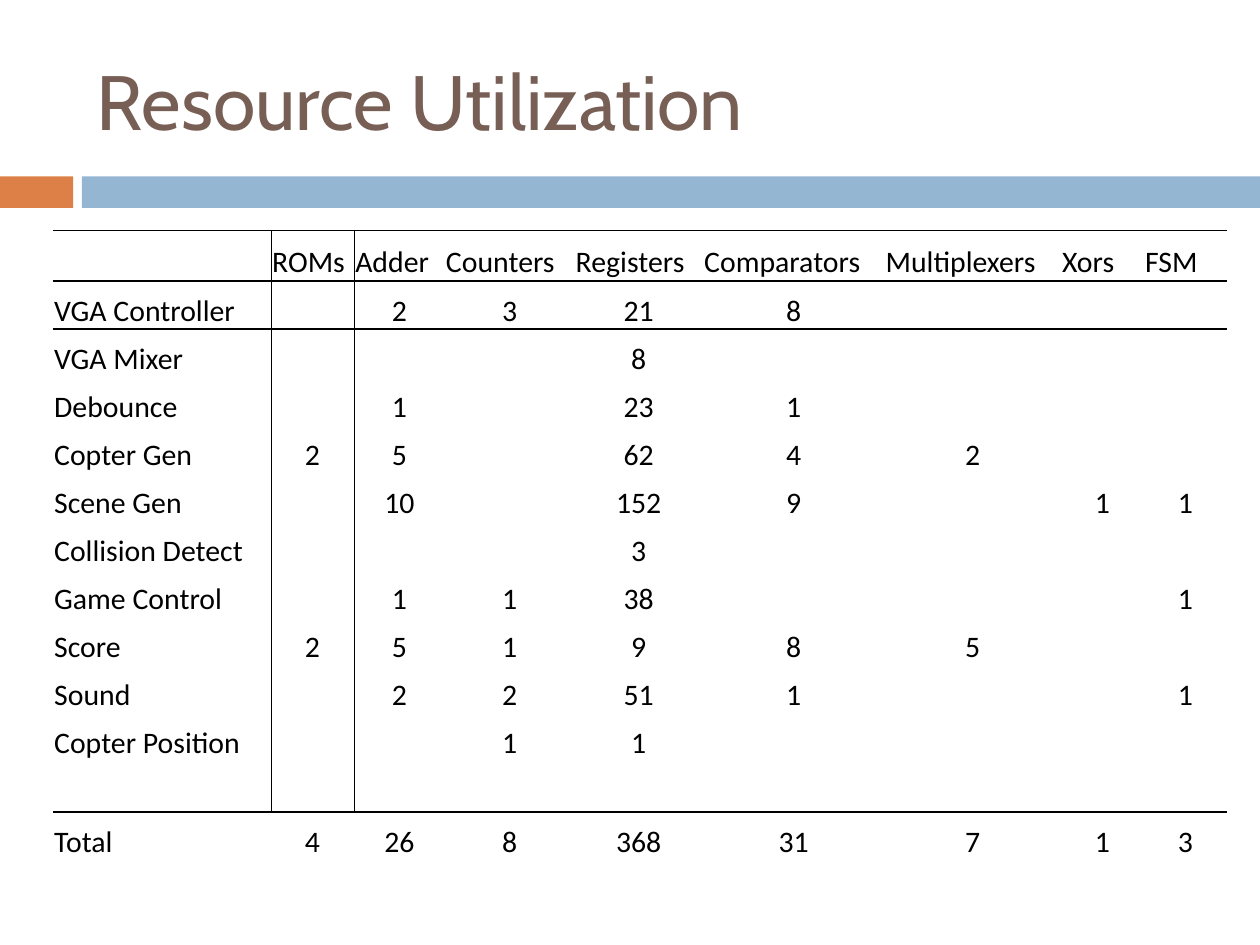
from lxml import etree
from pptx import Presentation, util as u
from pptx.dml.color import RGBColor
from pptx.enum import shapes, text
from pptx.oxml import ns

COLORS = {"title": "775F55", "accent": "DD8047", "band": "94B6D2", "ink": "000000"}
TITLE = "Resource Utilization"
BANDS = [("accent", 0, 0.58), ("band", 0.65, 9.35)]
RESOURCES = ["", "ROMs", "Adder", "Counters", "Registers", "Comparators",
             "Multiplexers", "Xors", "FSM"]
MODULES = [
    ("VGA Controller", "", 2, 3, 21, 8, "", "", ""),
    ("VGA Mixer", "", "", "", 8, "", "", "", ""),
    ("Debounce", "", 1, "", 23, 1, "", "", ""),
    ("Copter Gen", 2, 5, "", 62, 4, 2, "", ""),
    ("Scene Gen", "", 10, "", 152, 9, "", 1, 1),
    ("Collision Detect", "", "", "", 3, "", "", "", ""),
    ("Game Control", "", 1, 1, 38, "", "", "", 1),
    ("Score", 2, 5, 1, 9, 8, 5, "", ""),
    ("Sound", "", 2, 2, 51, 1, "", "", 1),
    ("Copter Position", "", "", 1, 1, "", "", "", ""),
]
SPACER = [""] * len(RESOURCES)
TOTAL = ("Total", 4, 26, 8, 368, 31, 7, 1, 3)
ROWS = [RESOURCES, *MODULES, SPACER, TOTAL]
COLUMN_WIDTHS = [1.73, 0.66, 0.72, 1.03, 1.02, 1.44, 1.4, 0.66, 0.66]
TABLE_LEFT, TABLE_TOP, TABLE_HEIGHT = 0.42, 1.83, 5
TALL_ROW = 0.4
TALL_ROWS = (0, len(ROWS) - 2)
PLAIN_STYLE = "{2D5ABB26-0587-4C30-8999-92F81FD0307C}"
CELL_FORMAT = {
    "margin_left": u.Inches(0.01), "margin_right": u.Inches(0.01),
    "margin_top": u.Inches(0.01), "margin_bottom": 0,
    "vertical_anchor": text.MSO_ANCHOR.BOTTOM,
}


def color(name):
    return RGBColor.from_string(COLORS[name])


def write(paragraph, words, font_name, size, color_name):
    run = paragraph.add_run()
    run.text = words
    for key, value in {"name": font_name, "size": u.Pt(size)}.items():
        setattr(run.font, key, value)
    run.font.color.rgb = color(color_name)


def add_border(cell, side, points):
    line = etree.SubElement(cell._tc.get_or_add_tcPr(), ns.qn(f"a:ln{side}"),
                            w=str(u.Pt(points)))
    fill = etree.SubElement(line, ns.qn("a:solidFill"))
    etree.SubElement(fill, ns.qn("a:srgbClr"), val=COLORS["ink"])


def cell_borders(row, column):
    spacer = len(ROWS) - 2
    beside_names = row <= spacer
    top = {0: 0.5, 1: 1, spacer + 1: 1}.get(row)
    bottom = {0: 1, spacer: 1}.get(row)
    sides = {"L": 0.5 if beside_names and column == 1 else None,
             "R": 0.5 if beside_names and column == 0 else None,
             "T": top, "B": bottom}
    return [(side, points) for side, points in sides.items() if points]


def add_title(slide):
    title = slide.shapes.add_textbox(*map(u.Inches, (0.67, 0.25, 8.92, 1.08))).text_frame
    title.word_wrap = True
    title.vertical_anchor = text.MSO_ANCHOR.MIDDLE
    write(title.paragraphs[0], TITLE, "Cabin", 44, "title")


def add_bands(slide):
    for name, left, width in BANDS:
        band = slide.shapes.add_shape(shapes.MSO_SHAPE.RECTANGLE,
                                      *map(u.Inches, (left, 1.4, width, 0.25)))
        band.shadow.inherit = False
        band.fill.solid()
        band.fill.fore_color.rgb = color(name)
        band.line.fill.background()


def add_usage_table(slide):
    area = (TABLE_LEFT, TABLE_TOP, sum(COLUMN_WIDTHS), TABLE_HEIGHT)
    usage = slide.shapes.add_table(len(ROWS), len(RESOURCES), *map(u.Inches, area)).table
    usage.first_row = usage.horz_banding = False
    usage._tbl.tblPr.find(ns.qn("a:tableStyleId")).text = PLAIN_STYLE
    for column, width in zip(usage.columns, COLUMN_WIDTHS):
        column.width = u.Inches(width)
    row_height = (TABLE_HEIGHT - TALL_ROW * len(TALL_ROWS)) / (len(ROWS) - len(TALL_ROWS))
    for r, entries in enumerate(ROWS):
        usage.rows[r].height = u.Inches(TALL_ROW if r in TALL_ROWS else row_height)
        for c, entry in enumerate(entries):
            cell = usage.cell(r, c)
            for key, value in CELL_FORMAT.items():
                setattr(cell, key, value)
            for side, points in cell_borders(r, c):
                add_border(cell, side, points)
            cell.fill.background()
            if entry != "":
                paragraph = cell.text_frame.paragraphs[0]
                if r and c:
                    paragraph.alignment = text.PP_ALIGN.CENTER
                write(paragraph, str(entry), "Calibri", 17, "ink")


def main():
    deck = Presentation()
    deck.slide_width, deck.slide_height = u.Inches(10), u.Inches(7.5)
    slide = deck.slides.add_slide(deck.slide_layouts[6])
    add_bands(slide)
    add_title(slide)
    add_usage_table(slide)
    deck.save("out.pptx")


if __name__ == "__main__":
    main()
